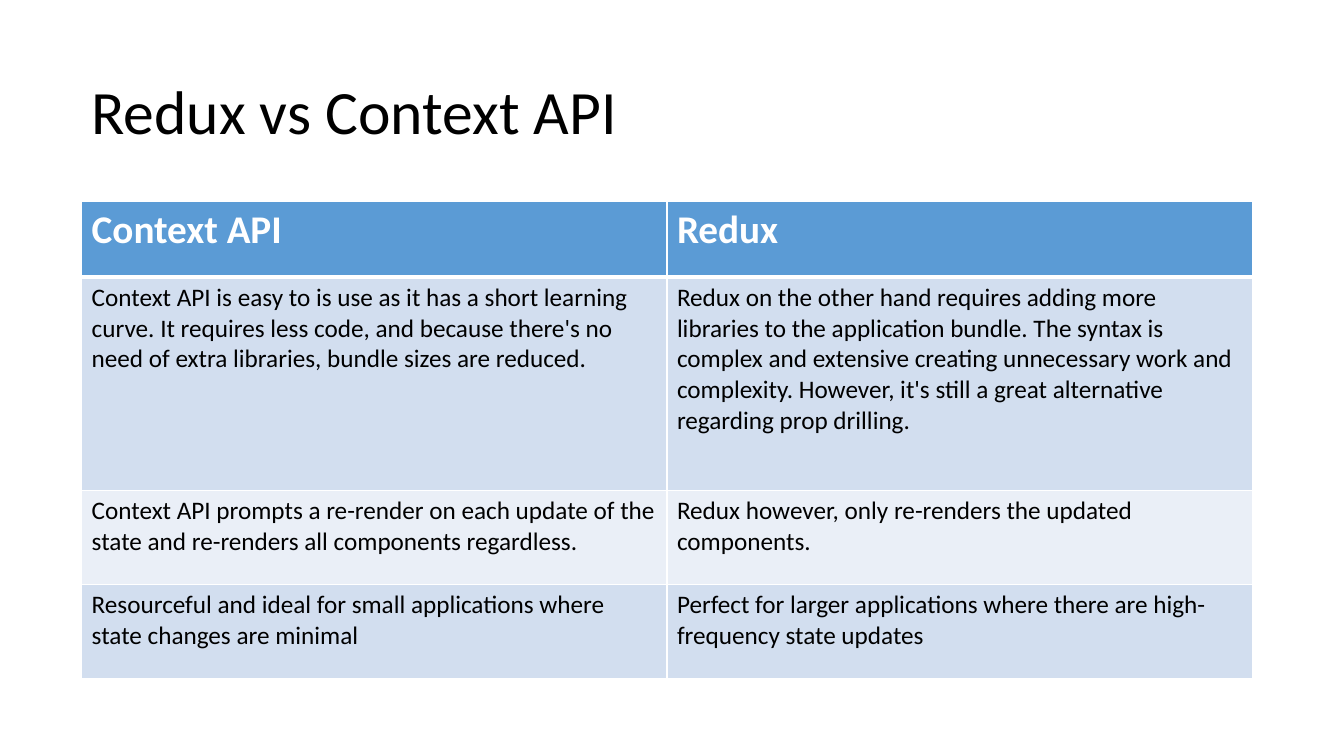
from lxml.etree import SubElement
from pptx import Presentation
from pptx.dml.color import RGBColor
from pptx.enum.text import MSO_ANCHOR
from pptx.oxml.ns import qn
from pptx.util import Inches, Pt

WHITE, BLACK = "FFFFFF", "000000"
HEADER_FILL = "5B9BD5"
BAND_FILLS = ["D2DEEF", "EAEFF7"]
TITLE_FORMAT = {"name": "Calibri", "size": Pt(44), "bold": False}
HEADER_FORMAT = {"name": "Calibri", "size": Pt(28), "bold": True}
BODY_FORMAT = {"name": "Calibri", "size": Pt(18), "bold": False}

ROW_HEIGHTS = [0.75, 2.12, 0.93, 0.93]
COMPARISON = [
    ("Context API", "Redux"),
    ("Context API is easy to is use as it has a short learning curve. It requires "
     "less code, and because there's no need of extra libraries, bundle sizes are reduced. ",
     "Redux on the other hand requires adding more libraries to the application bundle. "
     "The syntax is complex and extensive creating unnecessary work and complexity. "
     "However, it's still a great alternative regarding prop drilling."),
    ("Context API prompts a re-render on each update of the state and re-renders "
     "all components regardless.",
     "Redux however, only re-renders the updated components."),
    ("Resourceful and ideal for small applications where state changes are minimal",
     "Perfect for larger applications where there are high-frequency state updates"),
]


def color(value):
    return RGBColor.from_string(value)


def write(frame, text, font_format, text_color):
    para = frame.paragraphs[0]
    span = para.add_run()
    span.text = text
    for name, value in font_format.items():
        setattr(span.font, name, value)
    span.font.color.rgb = color(text_color)
    return para


def set_borders(cell, widths):
    properties = cell._tc.get_or_add_tcPr()
    for side, width in widths.items():
        line = SubElement(properties, qn(f"a:ln{side}"), w=str(Pt(width)))
        fill = SubElement(line, qn("a:solidFill"))
        SubElement(fill, qn("a:srgbClr"), val=WHITE)


def add_title(page, left, top, width, height):
    box = page.shapes.add_textbox(Inches(left), Inches(top), Inches(width), Inches(height))
    frame = box.text_frame
    frame.word_wrap = True
    frame.vertical_anchor = MSO_ANCHOR.MIDDLE
    write(frame, "Redux vs Context API", TITLE_FORMAT, BLACK).line_spacing = 0.9


def add_comparison(page, left, top, width):
    table = page.shapes.add_table(
        len(COMPARISON), len(COMPARISON[0]), Inches(left), Inches(top),
        Inches(width), Inches(sum(ROW_HEIGHTS))).table
    for row, height in zip(table.rows, ROW_HEIGHTS):
        row.height = Inches(height)

    for row_index, texts in enumerate(COMPARISON):
        is_header = row_index == 0
        # The header stands on a thick rule; the body rows are banded
        fill = HEADER_FILL if is_header else BAND_FILLS[(row_index - 1) % 2]
        font_format = HEADER_FORMAT if is_header else BODY_FORMAT
        widths = {"L": 1, "R": 1, "T": 3 if row_index == 1 else 1, "B": 3 if is_header else 1}
        for column_index, text in enumerate(texts):
            cell = table.cell(row_index, column_index)
            set_borders(cell, widths)
            cell.fill.solid()
            cell.fill.fore_color.rgb = color(fill)
            write(cell.text_frame, text, font_format, WHITE if is_header else BLACK)


deck = Presentation()
deck.slide_width, deck.slide_height = Inches(13.33), Inches(7.5)
page = deck.slides.add_slide(deck.slide_layouts[6])
add_title(page, 0.81, 0.41, 11.5, 1.45)
add_comparison(page, 0.81, 2, 11.61)
deck.save("out.pptx")
